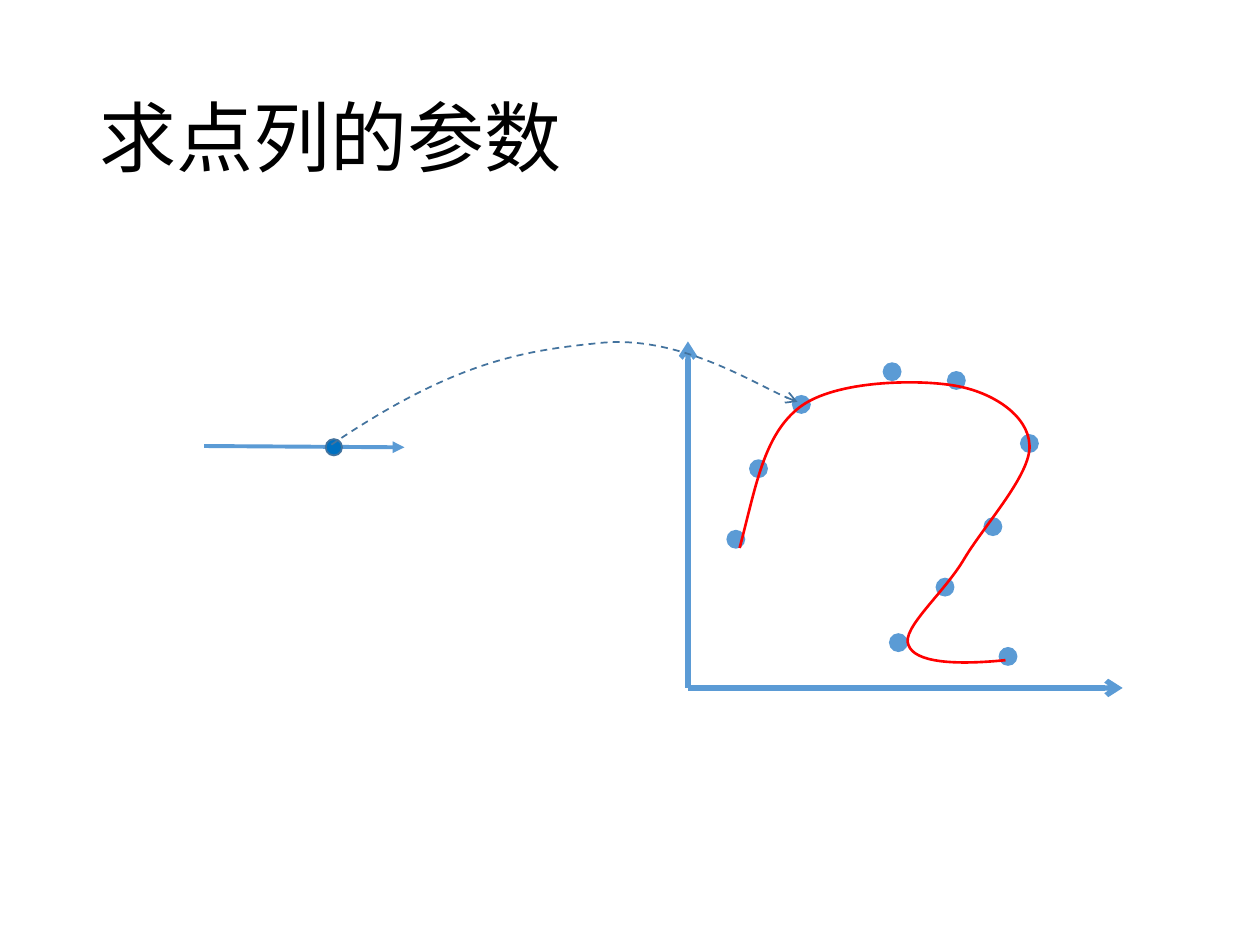
from dataclasses import dataclass

from lxml import etree
from pptx import Presentation
from pptx.dml.color import RGBColor
from pptx.enum.dml import MSO_LINE
from pptx.enum.shapes import MSO_CONNECTOR, MSO_SHAPE
from pptx.enum.text import MSO_ANCHOR, PP_ALIGN
from pptx.oxml.ns import qn
from pptx.util import Inches, Pt

STRAIGHT = MSO_CONNECTOR.STRAIGHT
OVAL = MSO_SHAPE.OVAL
DASH = MSO_LINE.DASH
MIDDLE = MSO_ANCHOR.MIDDLE
LEFT = PP_ALIGN.LEFT

# The slide is a grid of square cells; all places are (column, row).
COLUMNS, ROWS = 10, 7.5


@dataclass(frozen=True)
class Theme:
    font: str = "Calibri"
    title_size: float = 44
    text: str = "000000"
    accent: str = "5B9BD5"
    outline: str = "43739E"
    parameter: str = "0070C0"
    curve: str = "FF0000"
    axis_width: float = 3
    parameter_axis_width: float = 2.25
    curve_width: float = 1.5
    thin_width: float = 1


def write_text(frame, text, *, font, size, color, align=LEFT, anchor=MIDDLE, spacing=0.9):
    frame.word_wrap = True
    frame.vertical_anchor = anchor
    paragraph = frame.paragraphs[0]
    paragraph.alignment = align
    paragraph.line_spacing = spacing
    run = paragraph.add_run()
    run.text = text
    run.font.name = font
    run.font.size = Pt(size)
    run.font.color.rgb = RGBColor.from_string(color)


class SlideBuilder:
    def __init__(self, presentation, theme):
        self.theme = theme
        self.cell = presentation.slide_width / COLUMNS
        self.slide = presentation.slides.add_slide(presentation.slide_layouts[5])

    def emu(self, *cells):
        return [round(value * self.cell) for value in cells]

    def style_line(self, shape, color, width, arrow=None, dash=None):
        line = shape.line
        line.color.rgb = RGBColor.from_string(color)
        line.width = Pt(width)
        if dash:
            line.dash_style = dash
        if arrow:
            outline = shape._element.spPr.find(qn("a:ln"))
            etree.SubElement(outline, qn("a:tailEnd"), type=arrow)

    def title(self, text, left, top, width, height):
        title = self.slide.shapes.title
        title.left, title.top, title.width, title.height = self.emu(left, top, width, height)
        write_text(title.text_frame, text, font=self.theme.font,
                   size=self.theme.title_size, color=self.theme.text)

    def arrow(self, start, end, width, head, group=None):
        shapes = (group or self.slide).shapes
        arrow = shapes.add_connector(STRAIGHT, *self.emu(*start, *end))
        self.style_line(arrow, self.theme.accent, width, head)
        etree.SubElement(arrow._element.spPr, qn("a:effectLst"))

    def axes(self, origin, x_end, y_end):
        group = self.slide.shapes.add_group_shape()
        column, row = origin
        for end in ((column, y_end), (x_end, row)):
            self.arrow(origin, end, self.theme.axis_width, "arrow", group)

    def dot(self, center, size, fill, outline=None):
        column, row = center
        dot = self.slide.shapes.add_shape(
            OVAL, *self.emu(column - size / 2, row - size / 2, size, size))
        dot.shadow.inherit = False
        dot.fill.solid()
        dot.fill.fore_color.rgb = RGBColor.from_string(fill)
        if outline:
            self.style_line(dot, outline, self.theme.thin_width)
        else:
            dot.line.fill.background()

    def bezier(self, start, controls, color, width, arrow=None, dash=None):
        """Draw cubic curves; each takes three points from controls."""
        builder = self.slide.shapes.build_freeform(*self.emu(*start))
        builder.add_line_segments([self.emu(*point) for point in controls], close=False)
        curve = builder.convert_to_shape()
        segments = list(curve._element.iter(qn("a:lnTo")))
        for first in range(0, len(segments), 3):
            cubic = etree.Element(qn("a:cubicBezTo"))
            segments[first].addprevious(cubic)
            for segment in segments[first:first + 3]:
                cubic.append(segment[0])
                segment.getparent().remove(segment)
        curve.shadow.inherit = False
        curve.fill.background()
        self.style_line(curve, color, width, arrow, dash)


DATA_POINTS = [
    (5.84, 4.28), (6.36, 3.21), (7.08, 2.95), (7.59, 3.02), (8.17, 3.52),
    (7.88, 4.18), (6.02, 3.72), (7.5, 4.66), (7.13, 5.1), (8, 5.21),
]
FITTED_CURVE = [
    (6, 3.86), (6.06, 3.45), (6.35, 3.23),
    (6.63, 3.02), (7.27, 3.01), (7.57, 3.06),
    (7.88, 3.11), (8.16, 3.3), (8.17, 3.53),
    (8.19, 3.76), (7.81, 4.17), (7.65, 4.44),
    (7.49, 4.71), (7.15, 4.99), (7.21, 5.12),
    (7.26, 5.26), (7.58, 5.28), (7.98, 5.24),
]
MAPPING = [
    (3.62, 2.86), (4.17, 2.78), (4.79, 2.72),
    (5.4, 2.67), (6.09, 3.11), (6.33, 3.19),
]


def main():
    presentation = Presentation()
    presentation.slide_width, presentation.slide_height = Inches(COLUMNS), Inches(ROWS)
    theme = Theme()
    slide = SlideBuilder(presentation, theme)

    slide.title("求点列的参数", 0.69, 0.4, 8.62, 1.45)

    # Plane with the data points and the fitted curve
    slide.axes((5.46, 5.46), x_end=8.91, y_end=2.71)
    for point in DATA_POINTS:
        slide.dot(point, 0.15, theme.accent)
    slide.bezier((5.87, 4.35), FITTED_CURVE, theme.curve, theme.curve_width)

    # Parameter axis and its mapping to a data point
    slide.arrow((1.62, 3.54), (3.21, 3.55), theme.parameter_axis_width, "triangle")
    slide.dot((2.65, 3.55), 0.13, theme.parameter, theme.outline)
    slide.bezier((2.63, 3.53), MAPPING, theme.outline, theme.thin_width, "arrow", DASH)

    presentation.save("out.pptx")


if __name__ == "__main__":
    main()
